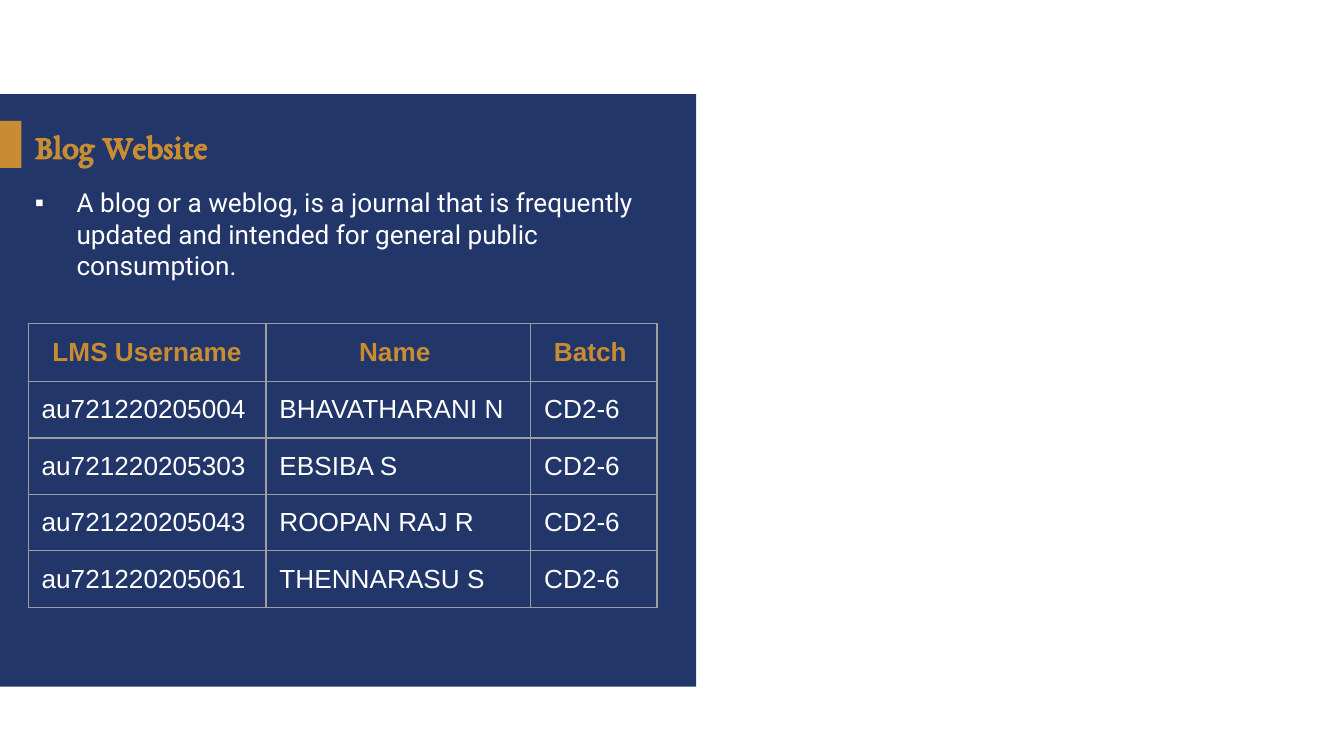
from dataclasses import dataclass

from lxml import etree
from pptx import Presentation
from pptx import util as u
from pptx.dml.color import RGBColor
from pptx.enum import shapes, text
from pptx.oxml import ns


@dataclass(frozen=True)
class Theme:
    navy: str = "223669"
    gold: str = "C88C32"
    white: str = "FFFFFF"
    border: str = "9E9E9E"
    border_width: float = 0.75
    title_font: str = "EB Garamond"
    body_font: str = "Roboto"
    table_font: str = "Arial"
    title_size: float = 18.3
    text_size: float = 14


THEME = Theme()
SLIDE_WIDTH = 10
SLIDE_HEIGHT = SLIDE_WIDTH * 9 / 16
COLUMN_WIDTHS = (1.77, 1.97, 0.94)
HEADER_HEIGHT, ROW_HEIGHT = 0.43, 0.42
BATCH = "CD2-6"
HEADINGS = ("LMS Username", "Name ", "Batch ")
MEMBERS = (
    ("au721220205004", "BHAVATHARANI N"),
    ("au721220205303", "EBSIBA S"),
    ("au721220205043", "ROOPAN RAJ R"),
    ("au721220205061", "THENNARASU S"),
)


def add_child(parent, tag, **attributes):
    return etree.SubElement(parent, ns.qn(tag), attributes)


def set_font(paragraph, name, size, color, bold=False):
    font = paragraph.font
    font.name, font.size, font.bold = name, u.Pt(size), bold
    font.color.rgb = RGBColor.from_string(color)


def place(shape, left, top, width, height):
    shape.left, shape.top = u.Inches(left), u.Inches(top)
    shape.width, shape.height = u.Inches(width), u.Inches(height)


def add_block(slide, color, *box):
    """Add a plain rectangle behind the title and body."""
    block = slide.shapes.add_shape(
        shapes.MSO_SHAPE.RECTANGLE, *(u.Inches(length) for length in box))
    block.shadow.inherit = False
    block.fill.solid()
    block.fill.fore_color.rgb = RGBColor.from_string(color)
    block.line.fill.background()
    slide.shapes.title.element.addprevious(block.element)


def fill_title(title, wording):
    place(title, 0.16, 0.89, 3.74, 0.38)
    frame = title.text_frame
    frame.text = wording
    frame.vertical_anchor = text.MSO_ANCHOR.MIDDLE
    frame.auto_size = text.MSO_AUTO_SIZE.NONE
    paragraph = frame.paragraphs[0]
    paragraph.alignment = text.PP_ALIGN.LEFT
    set_font(paragraph, THEME.title_font, THEME.title_size, THEME.gold, True)


def fill_body(body, wording):
    place(body, 0.16, 1.34, 4.97, 3.32)
    frame = body.text_frame
    frame.text = wording
    frame.auto_size = text.MSO_AUTO_SIZE.NONE
    paragraph = frame.paragraphs[0]
    indent = u.Inches(0.31)
    properties = paragraph._p.get_or_add_pPr()
    properties.set("marL", str(indent))
    properties.set("indent", str(-indent))
    add_child(add_child(properties, "a:buClr"), "a:srgbClr", val=THEME.white)
    add_child(properties, "a:buFont", typeface=THEME.table_font)
    add_child(properties, "a:buChar", char="▪")
    paragraph.space_before = u.Pt(0)
    set_font(paragraph, THEME.body_font, THEME.text_size, THEME.white)


def add_borders(cell):
    properties = cell._tc.get_or_add_tcPr()
    for side in ("a:lnL", "a:lnR", "a:lnT", "a:lnB"):
        line = add_child(properties, side, w=str(u.Pt(THEME.border_width)))
        add_child(add_child(line, "a:solidFill"), "a:srgbClr", val=THEME.border)


def fill_cell(cell, wording, is_heading):
    add_borders(cell)
    cell.fill.background()
    cell.margin_left = cell.margin_right = u.Inches(0.1)
    cell.margin_top = cell.margin_bottom = u.Inches(0.1)
    cell.text = wording
    paragraph = cell.text_frame.paragraphs[0]
    paragraph.alignment = (
        text.PP_ALIGN.CENTER if is_heading else text.PP_ALIGN.LEFT)
    color = THEME.gold if is_heading else THEME.white
    set_font(paragraph, THEME.table_font, THEME.text_size, color, is_heading)


def add_member_table(slide):
    rows = [HEADINGS] + [(*member, BATCH) for member in MEMBERS]
    height = HEADER_HEIGHT + ROW_HEIGHT * len(MEMBERS)
    table = slide.shapes.add_table(
        len(rows), len(HEADINGS), u.Inches(0.21), u.Inches(2.41),
        u.Inches(sum(COLUMN_WIDTHS)), u.Inches(height)).table
    table.first_row = table.horz_banding = False
    for column, width in zip(table.columns, COLUMN_WIDTHS):
        column.width = u.Inches(width)
    for index, row in enumerate(rows):
        is_heading = index == 0
        table.rows[index].height = u.Inches(
            HEADER_HEIGHT if is_heading else ROW_HEIGHT)
        for cell, wording in zip(table.rows[index].cells, row):
            fill_cell(cell, wording, is_heading)


def main():
    presentation = Presentation()
    presentation.slide_width = u.Inches(SLIDE_WIDTH)
    presentation.slide_height = u.Inches(SLIDE_HEIGHT)
    slide = presentation.slides.add_slide(presentation.slide_layouts[1])
    add_block(slide, THEME.navy, 0, 0.7, 5.18, 4.41)
    add_block(slide, THEME.gold, 0, 0.9, 0.16, 0.35)
    fill_title(slide.shapes.title, "Blog Website")
    fill_body(
        slide.placeholders[1],
        "A blog or a weblog, is a journal that is frequently updated and "
        "intended for general public consumption.")
    add_member_table(slide)
    presentation.save("out.pptx")


if __name__ == "__main__":
    main()
